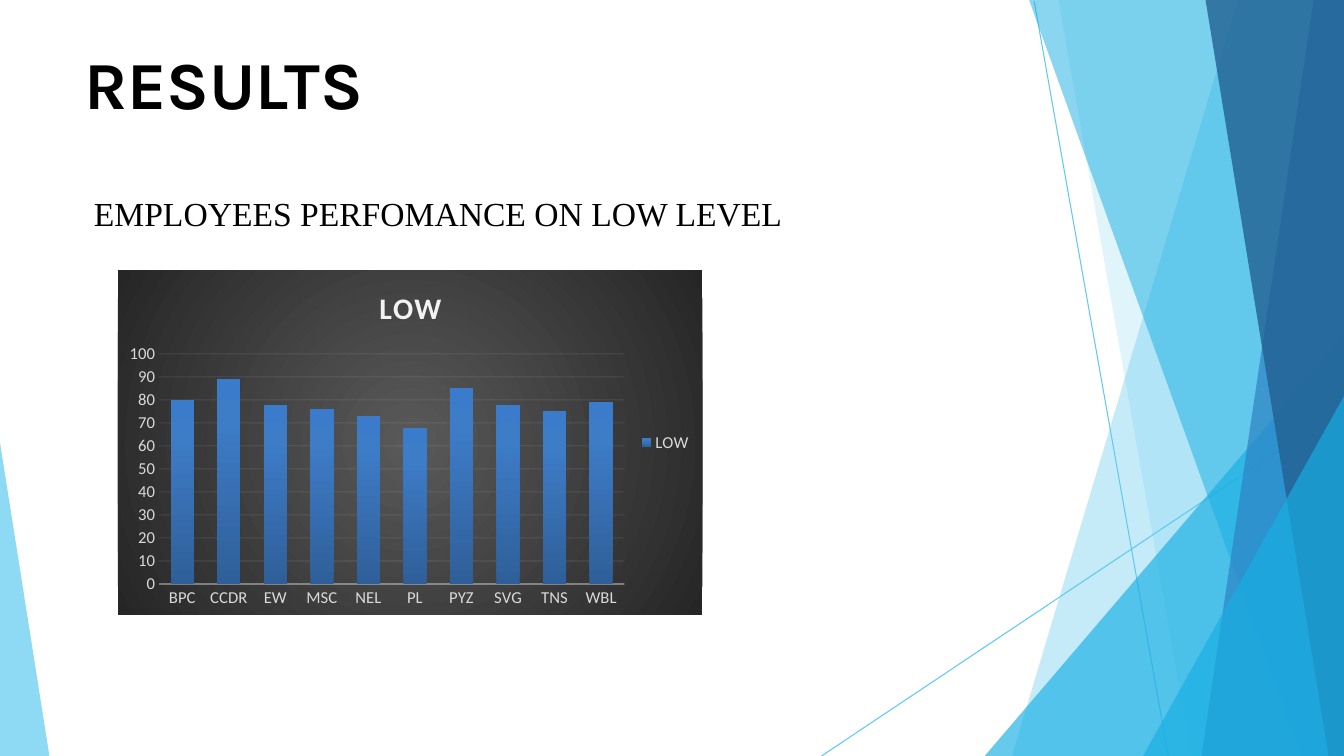
import pptx
import pptx.chart.data
import pptx.dml.color
import pptx.enum.chart
import pptx.enum.text
import pptx.oxml
import pptx.oxml.ns
import pptx.util
import lxml.etree

WIDTH, HEIGHT = 960, 540
SKY, CYAN, BLUE, NAVY = "5FCAEE", "17AFE3", "2D83C3", "226192"
RIGHT_TOP, RIGHT_BOTTOM = (WIDTH, 0), (WIDTH, HEIGHT)

LINES = [
    ((738.7, 0.7), (834.5, HEIGHT)),
    ((WIDTH, 290.9), (586.8, HEIGHT)),
]
FACETS = [
    ([RIGHT_TOP, (884.2, 0), (722.9, HEIGHT), RIGHT_BOTTOM], SKY, 36),
    ([RIGHT_TOP, (756, 0), (851, HEIGHT), RIGHT_BOTTOM], SKY, 20),
    ([(WIDTH, 239.8), (703.4, HEIGHT), RIGHT_BOTTOM], CYAN, 66),
    ([RIGHT_TOP, (735.1, 0), (929.5, HEIGHT), RIGHT_BOTTOM], CYAN, 50),
    ([RIGHT_TOP, (938.2, 0), (858.2, HEIGHT), RIGHT_BOTTOM], BLUE, 70),
    ([RIGHT_TOP, (861.1, 0), (949, HEIGHT), RIGHT_BOTTOM], NAVY, 80),
    ([(WIDTH, 283), (816.5, HEIGHT), RIGHT_BOTTOM], CYAN, 66),
    ([(0, 316.1), (0, HEIGHT), (35.3, HEIGHT)], SKY, 70),
]
LOW_SCORES = {"BPC": 80, "CCDR": 89, "EW": 78, "MSC": 76, "NEL": 73,
              "PL": 68, "PYZ": 85, "SVG": 78, "TNS": 75, "WBL": 79}


def color(value):
    return pptx.dml.color.RGBColor.from_string(value)


def points(*values):
    return [pptx.util.Pt(value) for value in values]


def set_alpha(fill_parent, percent):
    for element in fill_parent.iter(pptx.oxml.ns.qn("a:srgbClr")):
        alpha = lxml.etree.SubElement(element, pptx.oxml.ns.qn("a:alpha"))
        alpha.set("val", str(percent * 1000))


def gradient(stops, direction):
    stop_xml = "".join(
        f'<a:gs pos="{position * 1000}"><a:srgbClr val="{value}"/></a:gs>'
        for position, value in stops)
    return (f'<a:gradFill rotWithShape="1"><a:gsLst>{stop_xml}</a:gsLst>'
            f'{direction}</a:gradFill>')


class SlideBuilder:
    fonts = {
        "heading": {"name": "Karla", "size": 48, "bold": True, "color": "000000"},
        "subheading": {"name": "Times New Roman", "size": 24, "color": "000000"},
        "chart": {"name": "Calibri", "size": 11.9, "color": "D9D9D9"},
        "chart title": {"name": "Calibri", "size": 21.3, "bold": True, "color": "F2F2F2"},
    }

    def __init__(self, slide):
        self.slide = slide

    def style(self, font, name):
        for key, value in self.fonts[name].items():
            if key == "color":
                font.color.rgb = color(value)
            elif key == "size":
                font.size = pptx.util.Pt(value)
            else:
                setattr(font, key, value)

    def stroke(self, line, value, width, opacity=100):
        line.color.rgb = color(value)
        line.width = pptx.util.Pt(width)
        set_alpha(line.fill._xPr, opacity)

    def line(self, start, end):
        connector = self.slide.shapes.add_connector(
            pptx.enum.shapes.MSO_CONNECTOR.STRAIGHT, *points(*start, *end))
        self.stroke(connector.line, SKY, 0.75)
        lxml.etree.SubElement(connector._element.spPr, pptx.oxml.ns.qn("a:effectLst"))

    def facet(self, corners, value, opacity):
        start, *others = [points(*corner) for corner in corners]
        builder = self.slide.shapes.build_freeform(*start)
        builder.add_line_segments(others, close=True)
        shape = builder.convert_to_shape()
        shape.shadow.inherit = False
        shape.fill.solid()
        shape.fill.fore_color.rgb = color(value)
        set_alpha(shape._element.spPr, opacity)
        shape.line.fill.background()

    def text(self, text, box, font, margins):
        frame = self.slide.shapes.add_textbox(*points(*box)).text_frame
        settings = dict(zip(
            ("margin_left", "margin_top", "margin_right", "margin_bottom"),
            points(*margins)))
        settings.update(word_wrap=True, vertical_anchor=pptx.enum.text.MSO_ANCHOR.TOP)
        for key, value in settings.items():
            setattr(frame, key, value)
        run = frame.paragraphs[0].add_run()
        run.text = text
        self.style(run.font, font)
        return run

    def column_chart(self, name, scores, box):
        data = pptx.chart.data.CategoryChartData()
        data.categories = list(scores)
        data.add_series(name, list(scores.values()))
        chart = self.slide.shapes.add_chart(
            pptx.enum.chart.XL_CHART_TYPE.COLUMN_CLUSTERED, *points(*box), data).chart
        self.style(chart.font, "chart")
        chart.has_title = True
        title = chart.chart_title.text_frame.paragraphs[0].add_run()
        title.text = name
        self.style(title.font, "chart title")
        title.font._element.set("spc", "100")
        chart.has_legend = True
        chart.legend.position = pptx.enum.chart.XL_LEGEND_POSITION.RIGHT
        chart.legend.include_in_layout = False
        self.style(chart.legend.font, "chart")
        for axis in (chart.category_axis, chart.value_axis):
            axis.major_tick_mark = pptx.enum.chart.XL_TICK_MARK.NONE
            axis.minor_tick_mark = pptx.enum.chart.XL_TICK_MARK.NONE
            self.style(axis.tick_labels.font, "chart")
        self.stroke(chart.category_axis.format.line, "F2F2F2", 1, 54)
        scale = {"minimum_scale": 0, "maximum_scale": 100, "major_unit": 10}
        for key, value in scale.items():
            setattr(chart.value_axis, key, value)
        chart.value_axis.format.line.fill.background()
        self.stroke(chart.value_axis.major_gridlines.format.line, "F2F2F2", 0.75, 10)
        plot = chart.plots[0]
        for key, value in {"gap_width": 100, "overlap": -24, "vary_by_categories": False}.items():
            setattr(plot, key, value)
        self.fill_chart(chart, plot.series[0])

    def fill_chart(self, chart, series):
        namespaces = pptx.oxml.ns.nsdecls("c", "a")
        bars = gradient([(0, "2F5F99"), (80, "3D7CC7"), (100, "3A7CCB")],
                        '<a:lin ang="16200000" scaled="0"/>')
        backdrop = gradient([(0, "595959"), (100, "262626")],
                            '<a:path path="circle"><a:fillToRect l="50000" t="50000" '
                            'r="50000" b="50000"/></a:path>')
        series.format.fill.solid()
        properties = series._element.find(pptx.oxml.ns.qn("c:spPr"))
        properties.getparent().replace(properties, pptx.oxml.parse_xml(
            f"<c:spPr {namespaces}>{bars}</c:spPr>"))
        chart._chartSpace.find(pptx.oxml.ns.qn("c:chart")).addnext(pptx.oxml.parse_xml(
            f"<c:spPr {namespaces}>{backdrop}<a:ln><a:noFill/></a:ln></c:spPr>"))


def main():
    presentation = pptx.Presentation()
    presentation.slide_width, presentation.slide_height = points(WIDTH, HEIGHT)
    builder = SlideBuilder(presentation.slides.add_slide(presentation.slide_layouts[6]))
    for start, end in LINES:
        builder.line(start, end)
    for corners, value, opacity in FACETS:
        builder.facet(corners, value, opacity)
    builder.text("RESULTS", (60, 30, 841, 126), "heading", (0, 0, 0, 0))
    builder.text("EMPLOYEES PERFOMANCE ON LOW LEVEL", (60, 134.6, 512.6, 95),
                 "subheading", (7.2, 3.6, 7.2, 3.6))
    builder.column_chart("LOW", LOW_SCORES, (84.2, 193, 417.6, 246.2))
    presentation.save("out.pptx")


if __name__ == "__main__":
    main()
